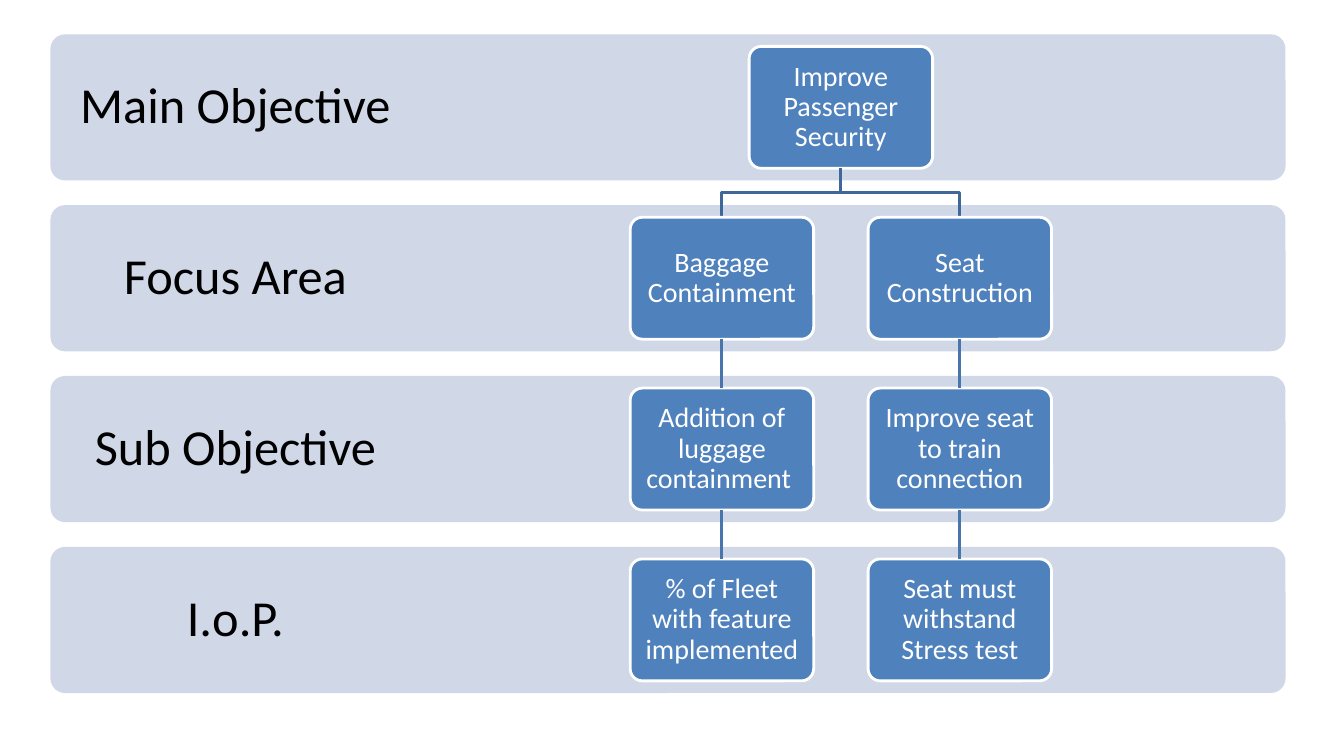
from pptx import Presentation
from pptx.dml.color import RGBColor
from pptx.enum import shapes, text
from pptx.oxml.ns import qn
from pptx.util import Inches, Pt

BAND = RGBColor(0xD0, 0xD8, 0xE8)
BLUE = RGBColor(0x4F, 0x81, 0xBD)
FORK = RGBColor(0x3F, 0x67, 0x97)
LINK = RGBColor(0x48, 0x75, 0xAC)
BLACK = RGBColor(0, 0, 0)
WHITE = RGBColor(0xFF, 0xFF, 0xFF)

TOP, STEP = 0.34, 1.695
BAND_H = 1.45
BOX_W, BOX_H, GAP = 1.82, 1.21, 0.12
ROOT_X = 8.34  # centre of the top box

LABELS = ["Main Objective", "Focus Area", "Sub Objective", "I.o.P."]
CHAINS = [
    (7.16, ["Baggage Containment", "Addition of luggage containment ",
            "% of Fleet with feature implemented"]),
    (9.52, ["Seat Construction", "Improve seat to train connection",
            "Seat must withstand Stress test"]),
]

deck = Presentation()
deck.slide_width, deck.slide_height = Inches(13.33), Inches(7.5)
slide = deck.slides.add_slide(deck.slide_layouts[6])
items = slide.shapes


def write(shape, words, size, color, inset):
    frame = shape.text_frame
    frame.word_wrap = True
    frame.vertical_anchor = text.MSO_ANCHOR.MIDDLE
    frame.margin_left = frame.margin_right = Inches(inset)
    frame.margin_top = frame.margin_bottom = Inches(inset)
    para = frame.paragraphs[0]
    para.text = words
    para.alignment = text.PP_ALIGN.CENTER
    para.line_spacing = 0.9
    para.font.name, para.font.size = "Calibri", Pt(size)
    para.font.color.rgb = color


def add_box(mid, row, words):
    box = items.add_shape(
        shapes.MSO_SHAPE.ROUNDED_RECTANGLE, Inches(mid - BOX_W / 2),
        Inches(TOP + row * STEP + GAP), Inches(BOX_W), Inches(BOX_H))
    box.adjustments[0] = 0.1
    box.shadow.inherit = False
    box.fill.solid()
    box.fill.fore_color.rgb = BLUE
    box.line.color.rgb = WHITE
    box.line.width = Pt(2)
    write(box, words, 20, WHITE, 0.08)
    return box


# Level bands with their labels
for row, label in enumerate(LABELS):
    y = Inches(TOP + row * STEP)
    band = items.add_shape(shapes.MSO_SHAPE.ROUNDED_RECTANGLE,
                           Inches(0.5), y, Inches(12.25), Inches(BAND_H))
    band.adjustments[0] = 0.1
    band.shadow.inherit = False
    band.fill.solid()
    band.fill.fore_color.rgb = BAND
    band.line.fill.background()
    name = items.add_textbox(Inches(0.5), y, Inches(3.67), Inches(BAND_H))
    write(name, label, 36, BLACK, 0.28)

# Top box and the two chains below it
add_box(ROOT_X, 0, "Improve Passenger Security")
start, end = TOP + GAP + BOX_H, TOP + STEP + GAP
bend = (start + end) / 2

for mid, chain in CHAINS:
    # Bent line from the top box
    fork = items.build_freeform(Inches(ROOT_X), Inches(start))
    fork.add_line_segments(
        [(Inches(x), Inches(y))
         for x, y in [(ROOT_X, bend), (mid, bend), (mid, end)]], close=False)
    bent = fork.convert_to_shape()
    bent.shadow.inherit = False
    bent.fill.background()
    bent.line.color.rgb = FORK
    bent.line.width = Pt(2)

    boxes = [add_box(mid, row, words) for row, words in enumerate(chain, 1)]

    # Straight links, bottom of one box to top of the next
    for above, below in zip(boxes, boxes[1:]):
        link = items.add_connector(shapes.MSO_CONNECTOR.STRAIGHT, 0, 0, 0, 0)
        link.begin_connect(above, 2)
        link.end_connect(below, 0)
        link.line.color.rgb = LINK
        link.line.width = Pt(2)
        props = link._element.spPr
        props.append(props.makeelement(qn("a:effectLst"), {}))

deck.save("out.pptx")
